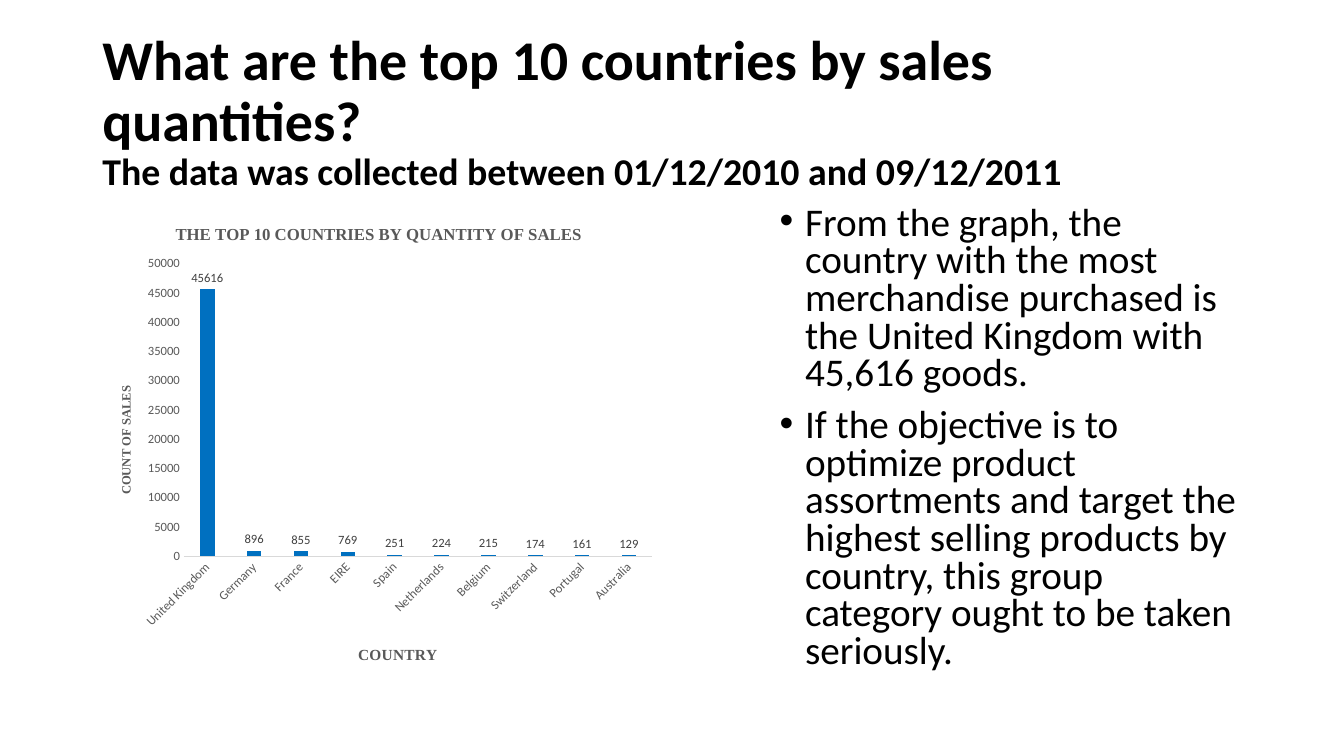
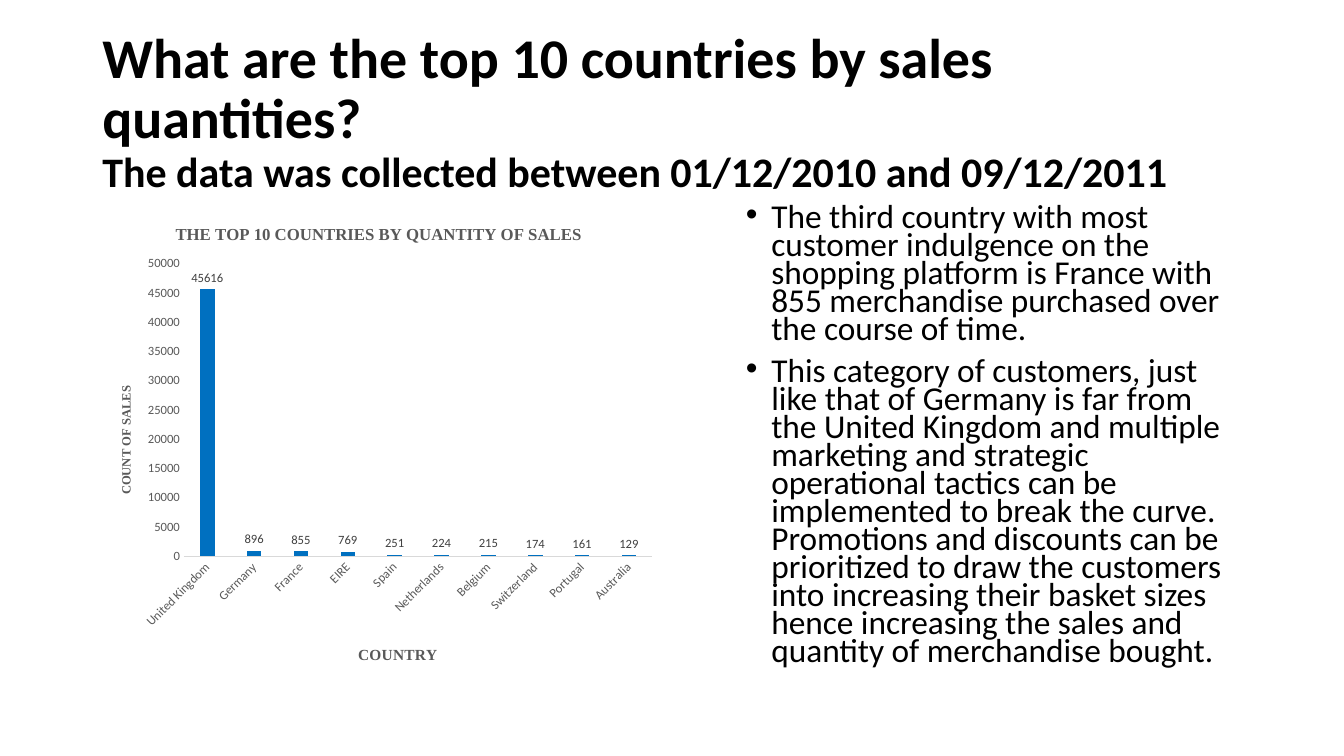
from dataclasses import dataclass
from lxml.etree import SubElement
from pptx import Presentation
from pptx.chart.data import CategoryChartData
from pptx.dml.color import RGBColor
from pptx.enum.chart import XL_CHART_TYPE, XL_LABEL_POSITION, XL_TICK_MARK
from pptx.enum.text import MSO_ANCHOR
from pptx.oxml import parse_xml
from pptx.oxml.ns import nsdecls, qn
from pptx.util import Cm, Pt

# Content
QUESTION = "What are the top 10 countries by sales quantities?"
PERIOD = "The data was collected between 01/12/2010 and 09/12/2011"
CHART_TITLE = "THE TOP 10 COUNTRIES BY QUANTITY OF SALES"
COUNTRY_TITLE, COUNT_TITLE = "COUNTRY", "COUNT OF SALES"
SALES = {
    "United Kingdom": 45616, "Germany": 896, "France": 855, "EIRE": 769,
    "Spain": 251, "Netherlands": 224, "Belgium": 215, "Switzerland": 174,
    "Portugal": 161, "Australia": 129,
}
SLIDES = [
    dict(period_size=27, left=19.4, size=28, spacing=0.8, findings=[
        "From the graph, the country with the most merchandise purchased is "
        "the United Kingdom with 45,616 goods.",
        "If the objective is to optimize product assortments and target the "
        "highest selling products by country, this group category ought to "
        "be taken seriously.",
    ]),
    dict(period_size=30, left=18.55, size=23.8, spacing=0.7, findings=[
        "The third country with most customer indulgence on the shopping "
        "platform is France with 855 merchandise purchased over the course "
        "of time.",
        "This category of customers, just like that of Germany is far from "
        "the United Kingdom and multiple marketing and strategic operational "
        "tactics can be implemented to break the curve. Promotions and "
        "discounts can be prioritized to draw the customers into increasing "
        "their basket sizes hence increasing the sales and quantity of "
        "merchandise bought.",
    ]),
]


@dataclass(frozen=True)
class Theme:
    body_font: str = "Calibri"
    chart_font: str = "Times New Roman"
    ink: str = "000000"
    bar: str = "0070C0"
    label: str = "404040"
    muted: str = "595959"
    rule: str = "D9D9D9"
    question_size: float = 40
    chart_title_size: float = 12
    country_title_size: float = 11
    small_size: float = 9


THEME = Theme()

# Geometry in centimetres
LEFT, RIGHT = 2.33, 31.53
TITLE_TOP, TITLE_HEIGHT = 1.01, 3.68
BODY_TOP, BODY_HEIGHT = 5.07, 12.09
CHART_WIDTH = 14.4
INDENT = Cm(0.64)


def style(font, size, color, name=THEME.body_font, bold=False):
    font.name, font.size, font.bold = name, Pt(size), bold
    font.color.rgb = RGBColor.from_string(color)


def add_box(page, left, top, height):
    box = page.shapes.add_textbox(Cm(left), Cm(top), Cm(RIGHT - left), Cm(height))
    box.text_frame.word_wrap = True
    return box.text_frame


def add_title(page, period_size):
    frame = add_box(page, LEFT, TITLE_TOP, TITLE_HEIGHT)
    frame.vertical_anchor = MSO_ANCHOR.MIDDLE
    para = frame.paragraphs[0]
    para.line_spacing = 0.9
    for text, size in ((QUESTION, THEME.question_size), (PERIOD, period_size)):
        if para.runs:
            para.add_line_break()
        span = para.add_run()
        span.text = text
        style(span.font, size, THEME.ink, bold=True)


def add_findings(page, left, size, spacing, findings):
    frame = add_box(page, left, BODY_TOP, BODY_HEIGHT)
    for number, text in enumerate(findings):
        para = frame.add_paragraph() if number else frame.paragraphs[0]
        para.text = text
        para.line_spacing, para.space_before = spacing, Pt(10)
        style(para.font, size, THEME.ink)
        properties = para._p.get_or_add_pPr()
        properties.set("marL", str(INDENT))
        properties.set("indent", str(-INDENT))
        SubElement(properties, qn("a:buFont")).set("typeface", "Arial")
        SubElement(properties, qn("a:buChar")).set("char", "\u2022")


def place(element, index, **fractions):
    """Fix a chart part at fractions of the chart area."""
    for old in element.findall(qn("c:layout")):
        element.remove(old)
    target = '<c:layoutTarget val="inner"/>' if "w" in fractions else ""
    modes = "".join(f'<c:{key}Mode val="edge"/>' for key in "xy")
    values = "".join(f'<c:{key} val="{value}"/>' for key, value in fractions.items())
    element.insert(index, parse_xml(
        f'<c:layout {nsdecls("c")}><c:manualLayout>{target}{modes}{values}'
        "</c:manualLayout></c:layout>"))


def set_title(title, text, size, x, y):
    para = title.text_frame.paragraphs[0]
    para.text = text
    style(para.font, size, THEME.muted, THEME.chart_font, True)
    place(title._element, 1, x=x, y=y)


def add_sales_chart(page):
    data = CategoryChartData()
    data.categories = list(SALES)
    data.add_series("Series 1", list(SALES.values()))
    chart = page.shapes.add_chart(
        XL_CHART_TYPE.COLUMN_CLUSTERED, Cm(LEFT), Cm(BODY_TOP),
        Cm(CHART_WIDTH), Cm(BODY_HEIGHT), data).chart
    style(chart.font, 10, THEME.ink)
    chart.has_legend = False

    # Titles and plot area
    set_title(chart.chart_title, CHART_TITLE, THEME.chart_title_size, 0.14, 0.04)
    countries, counts = chart.category_axis, chart.value_axis
    set_title(countries.axis_title, COUNTRY_TITLE, THEME.country_title_size, 0.46, 0.92)
    set_title(counts.axis_title, COUNT_TITLE, THEME.small_size, 0.04, 0.38)
    turn = counts.axis_title.text_frame._txBody.bodyPr
    turn.set("rot", "-5400000")
    turn.set("vert", "horz")
    plot_area = chart.element.find(".//" + qn("c:plotArea"))
    place(plot_area, 0, x=0.16, y=0.13, w=0.82, h=0.61)

    # Axes
    for axis in (countries, counts):
        axis.has_major_gridlines = False
        axis.major_tick_mark = axis.minor_tick_mark = XL_TICK_MARK.NONE
        style(axis.tick_labels.font, THEME.small_size, THEME.muted)
    countries.format.line.color.rgb = RGBColor.from_string(THEME.rule)
    countries.format.line.width = Pt(0.75)
    slant = countries._element.find(qn("c:txPr")).find(qn("a:bodyPr"))
    slant.set("rot", "-2700000")
    counts.format.line.fill.background()
    counts.minimum_scale, counts.maximum_scale, counts.major_unit = 0, 50000, 5000

    # Columns and their values
    plot = chart.plots[0]
    plot.gap_width, plot.overlap, plot.vary_by_categories = 219, -27, False
    fill = plot.series[0].format.fill
    fill.solid()
    fill.fore_color.rgb = RGBColor.from_string(THEME.bar)
    plot.has_data_labels = True
    labels = plot.data_labels
    labels.show_value, labels.position = True, XL_LABEL_POSITION.OUTSIDE_END
    style(labels.font, THEME.small_size, THEME.label)


# Build the deck
deck = Presentation()
deck.slide_width, deck.slide_height = Cm(33.87), Cm(19.05)
for content in SLIDES:
    page = deck.slides.add_slide(deck.slide_layouts[6])
    add_title(page, content["period_size"])
    add_findings(page, content["left"], content["size"],
                 content["spacing"], content["findings"])
    add_sales_chart(page)
deck.save("out.pptx")
